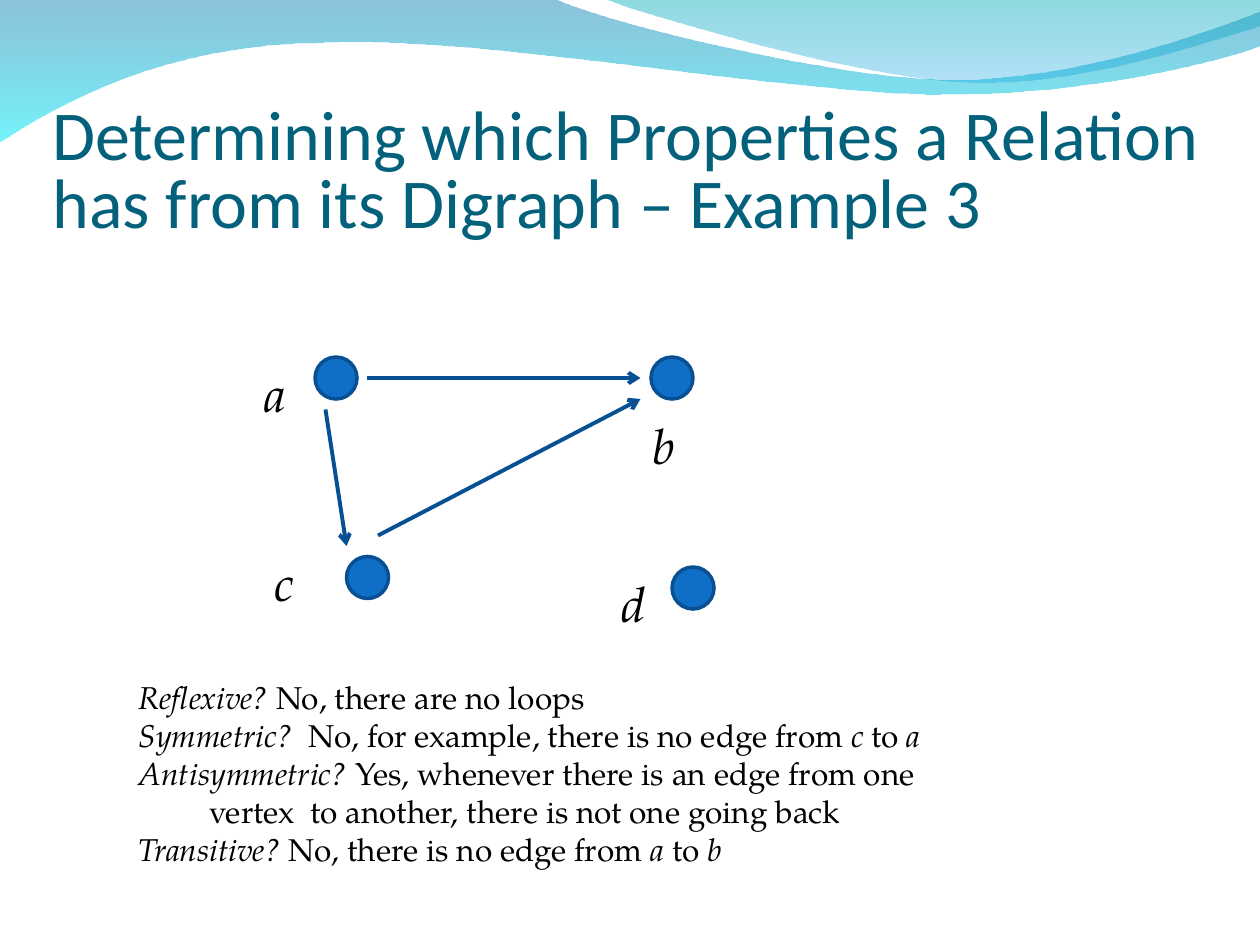
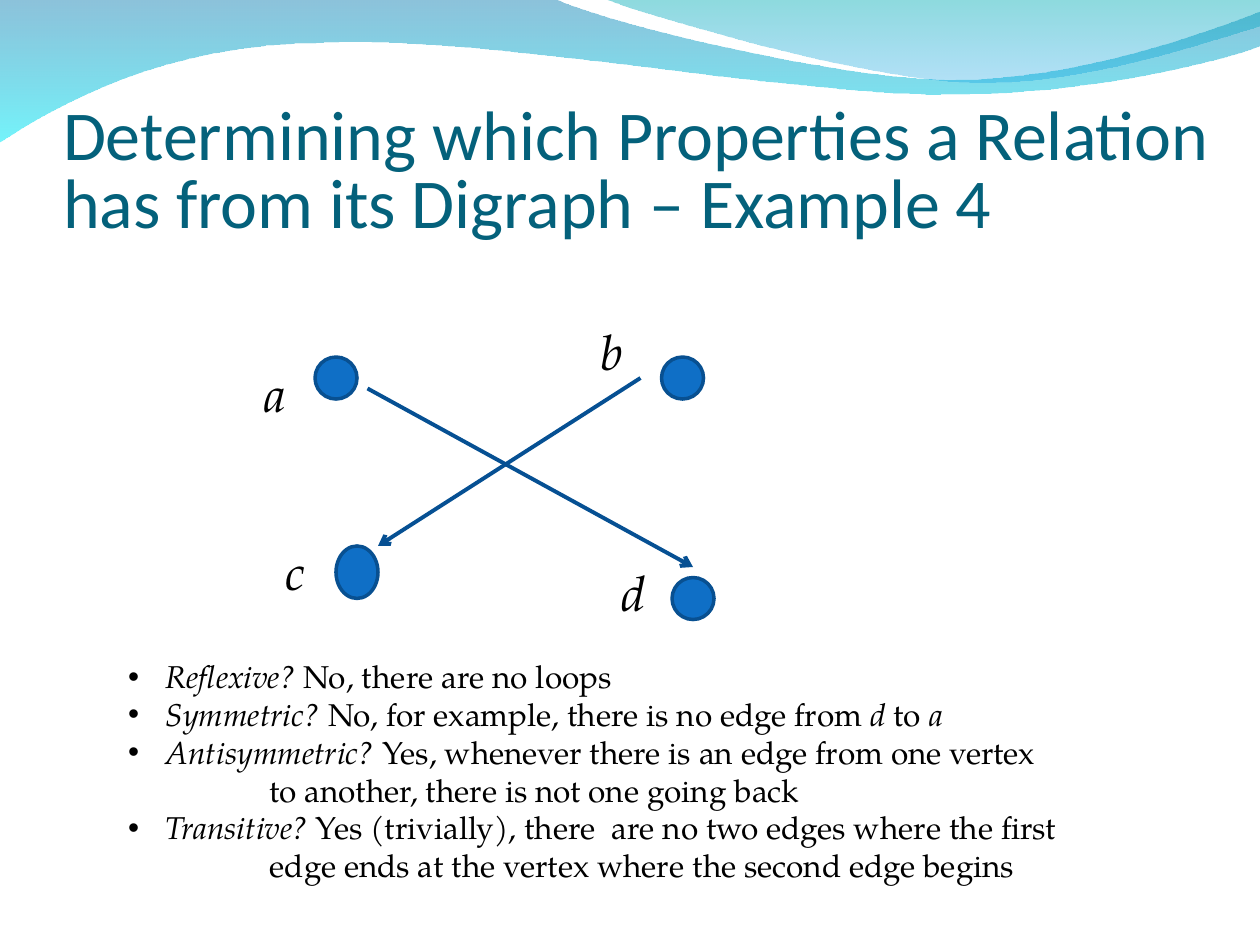
from lxml.etree import SubElement
from pptx import Presentation
from pptx.dml.color import RGBColor
from pptx.enum.shapes import MSO_CONNECTOR as Connector, MSO_SHAPE as Shape
from pptx.enum.text import MSO_ANCHOR as Anchor, MSO_AUTO_SIZE as AutoSize, PP_ALIGN as Align
from pptx.oxml.ns import qn
from pptx.util import Pt

TEAL = RGBColor(0x04, 0x61, 0x7B)
BLACK = RGBColor(0, 0, 0)
NODE_BLUE = RGBColor(0x0F, 0x6F, 0xC6)
RIM_BLUE = RGBColor(0x08, 0x50, 0x91)
EDGE_BLUE = RGBColor(0x06, 0x50, 0x93)

# Formats shared by the slides
SERIF = "TeX Gyre Pagella"
TITLE_FONT = {"name": "Calibri", "size": Pt(40)}
ANSWER_FONT = {"name": SERIF, "size": Pt(18)}
LABEL_FONT = {"name": SERIF, "size": Pt(28)}
TITLE_FRAME = {"vertical_anchor": Anchor.BOTTOM, "margin_left": 0, "margin_right": 0,
               "margin_top": Pt(3.6), "margin_bottom": 0}
BODY_FRAME = {"vertical_anchor": Anchor.TOP, "margin_left": Pt(7.2), "margin_right": Pt(7.2),
              "margin_top": Pt(3.6), "margin_bottom": Pt(3.6)}
TITLE_TEXT = "Determining which Properties a Relation has from its Digraph – Example {}"
NODE_SIZE = (24, 24)
LABEL_SIZE = (30, 41)

# Each digraph: node and label corners, edges, and answers (italics between asterisks;
# further lines of an answer are indented)
EXAMPLES = [
    {
        "number": 3,
        "title_box": (30, 48, 684, 90),
        "nodes": {"a": (180, 204), "b": (372, 204), "c": (198, 318), "d": (384, 324)},
        "labels": {"a": (144, 204), "b": (366, 234), "c": (150, 312), "d": (348, 324)},
        "edges": [(210, 216, 366, 216), (186, 234, 198, 312), (216, 306, 366, 228)],
        "answer_box": (72, 384, 522, 115),
        "bullet_indent": 0,
        "more_indent": 40.5,
        "answers": [
            ["*Reflexive?* No, there are no loops"],
            ["*Symmetric?*  No, for example, there is no edge from *c* to *a*"],
            ["*Antisymmetric?* Yes, whenever there is an edge from one",
             "vertex  to another, there is not one going back"],
            ["*Transitive? *No, there is no edge from *a* to *b*"],
        ],
    },
    {
        "number": 4,
        "title_box": (36, 48, 672, 90),
        "nodes": {"a": (180, 204), "b": (378, 204), "c": (192, 312), "d": (384, 330)},
        "node_sizes": {"c": (24, 30)},
        "labels": {"a": (144, 204), "b": (336, 180), "c": (156, 306), "d": (348, 318)},
        "edges": [(210, 222, 396, 324), (366, 216, 216, 312)],
        "answer_box": (66, 372, 588, 137),
        "bullet_indent": 21.5,
        "more_indent": 81,
        "answers": [
            ["*Reflexive?* No, there are no loops"],
            ["*Symmetric?* No, for example, there is no edge from *d* to *a*"],
            ["*Antisymmetric?* Yes, whenever there is an edge from one vertex",
             "to another, there is not one going back"],
            ["*Transitive? *Yes (trivially), there  are no two edges where the first",
             "edge ends at the vertex where the second edge begins"],
        ],
    },
]

# Waves: single points end straight sides, groups of three points are Bézier curves;
# stops are colour and opacity in percent
WAVES = [
    {"start": (0, -0.7),
     "sides": [[(316.8, -0.7)],
               [(342.7, 12.2), (478.1, 45.4), (545.8, 45.4)],
               [(614.2, 45.4), (689.8, 18.7), (720, 6.5)],
               [(720.7, 25.9)],
               [(707.8, 31.7), (626.4, 54.7), (537.1, 54)],
               [(447.8, 54), (275, 20.2), (185, 24.5)],
               [(92.9, 25.2), (33.1, 59.8), (-0.7, 81.4)],
               [(0, -0.7)]],
     "stops": [(RGBColor(0x00, 0x79, 0xAF), 45), (RGBColor(0x00, 0xEB, 0xF8), 55)]},
    {"start": (344.9, -0.7),
     "sides": [[(366.5, 7.9), (491, 44.6), (553.7, 46.8)],
               [(616.3, 49.7), (691.9, 23), (720, 15.1)],
               [(720, 0)],
               [(344.9, -0.7)]],
     "stops": [(RGBColor(0x00, 0xAD, 0xB6), 45), (RGBColor(0x00, 0x9B, 0xE5), 30)]},
]


def apply(target, formats):
    for name, value in formats.items():
        setattr(target, name, value)


def place(shape, box):
    apply(shape, dict(zip(("left", "top", "width", "height"), map(Pt, box))))


def write(paragraph, text, font, color):
    """Add runs, with the parts between asterisks in italics."""
    for i, part in enumerate(text.split("*")):
        if part:
            run = paragraph.add_run()
            run.text = part
            apply(run.font, {**font, "italic": i % 2 == 1})
            run.font.color.rgb = color


def bend(outline, sides):
    """Join the segments of each three-point side into one Bézier curve."""
    segments = iter(list(outline.iter(qn("a:lnTo"))))
    for side in sides:
        first, *others = [next(segments) for _ in side]
        if others:
            first.tag = qn("a:cubicBezTo")
            for segment in others:
                first.append(segment[0])
                segment.getparent().remove(segment)


def add_wave(slide, wave):
    points = [wave["start"]] + [point for side in wave["sides"] for point in side]
    corners = [(Pt(x), Pt(y)) for x, y in points]
    builder = slide.shapes.build_freeform(*corners[0])
    builder.add_line_segments(corners[1:], close=True)
    shape = builder.convert_to_shape()
    bend(shape.element, wave["sides"])
    shape.shadow.inherit = False
    shape.line.fill.background()
    shape.fill.gradient()
    shape.fill.gradient_angle = 270
    for stop, (color, _) in zip(shape.fill.gradient_stops, wave["stops"]):
        stop.color.rgb = color
    for color, (_, opacity) in zip(shape.element.iter(qn("a:srgbClr")), wave["stops"]):
        SubElement(color, qn("a:alpha"), val=str(opacity * 1000))
    return shape


def add_node(slide, box):
    node = slide.shapes.add_shape(Shape.OVAL, *map(Pt, box))
    node.shadow.inherit = False
    node.fill.solid()
    node.fill.fore_color.rgb = NODE_BLUE
    node.line.color.rgb = RIM_BLUE
    node.line.width = Pt(2)


def add_edge(slide, ends):
    edge = slide.shapes.add_connector(Connector.STRAIGHT, *map(Pt, ends))
    edge.line.color.rgb = EDGE_BLUE
    edge.line.width = Pt(2.25)
    properties = edge.element.spPr
    SubElement(properties.find(qn("a:ln")), qn("a:tailEnd"), type="arrow")
    SubElement(properties, qn("a:effectLst"))


def add_label(slide, letter, corner):
    label = slide.shapes.add_textbox(*map(Pt, corner + LABEL_SIZE)).text_frame
    label.word_wrap = True
    write(label.paragraphs[0], f"*{letter}*", LABEL_FONT, BLACK)


def fill_title(slide, example):
    title = slide.shapes.title
    place(title, example["title_box"])
    apply(title.text_frame, {**TITLE_FRAME, "auto_size": AutoSize.NONE, "word_wrap": True})
    heading = title.text_frame.paragraphs[0]
    apply(heading, {"alignment": Align.LEFT, "line_spacing": 0.8})
    write(heading, TITLE_TEXT.format(example["number"]), TITLE_FONT, TEAL)


def fill_answers(slide, example):
    body = slide.placeholders[1]
    place(body, example["answer_box"])
    frame = body.text_frame
    apply(frame, {**BODY_FRAME, "auto_size": AutoSize.NONE, "word_wrap": True})
    hanging = example["bullet_indent"]
    lines = [(text, i == 0) for answer in example["answers"] for i, text in enumerate(answer)]
    for i, (text, opens) in enumerate(lines):
        line = frame.add_paragraph() if i else frame.paragraphs[0]
        apply(line, {"alignment": Align.LEFT, "space_before": Pt(0), "space_after": Pt(0)})
        properties = line._p.get_or_add_pPr()
        properties.set("marL", str(Pt(hanging if opens else example["more_indent"])))
        properties.set("indent", str(-Pt(hanging) if opens else 0))
        if opens and hanging:
            SubElement(properties, qn("a:buFont"), typeface="Arial")
            SubElement(properties, qn("a:buChar"), char="•")
        else:
            SubElement(properties, qn("a:buNone"))
        write(line, text, ANSWER_FONT, BLACK)


def main():
    deck = Presentation()
    deck.slide_width, deck.slide_height = Pt(720), Pt(540)
    layout = deck.slide_layouts[1]

    for example in EXAMPLES:
        slide = deck.slides.add_slide(layout)
        fill_title(slide, example)
        fill_answers(slide, example)
        for letter, corner in example["nodes"].items():
            add_node(slide, corner + example.get("node_sizes", {}).get(letter, NODE_SIZE))
        for ends in example["edges"]:
            add_edge(slide, ends)
        for letter, corner in example["labels"].items():
            add_label(slide, letter, corner)

    # The waves are drawn once and moved behind everything in the shared layout
    for i, wave in enumerate(WAVES):
        band = add_wave(deck.slides[0], wave).element
        band.nvSpPr.cNvPr.set("id", str(100 + i))
        layout.shapes.element.insert(2 + i, band)

    deck.save("out.pptx")


if __name__ == "__main__":
    main()
